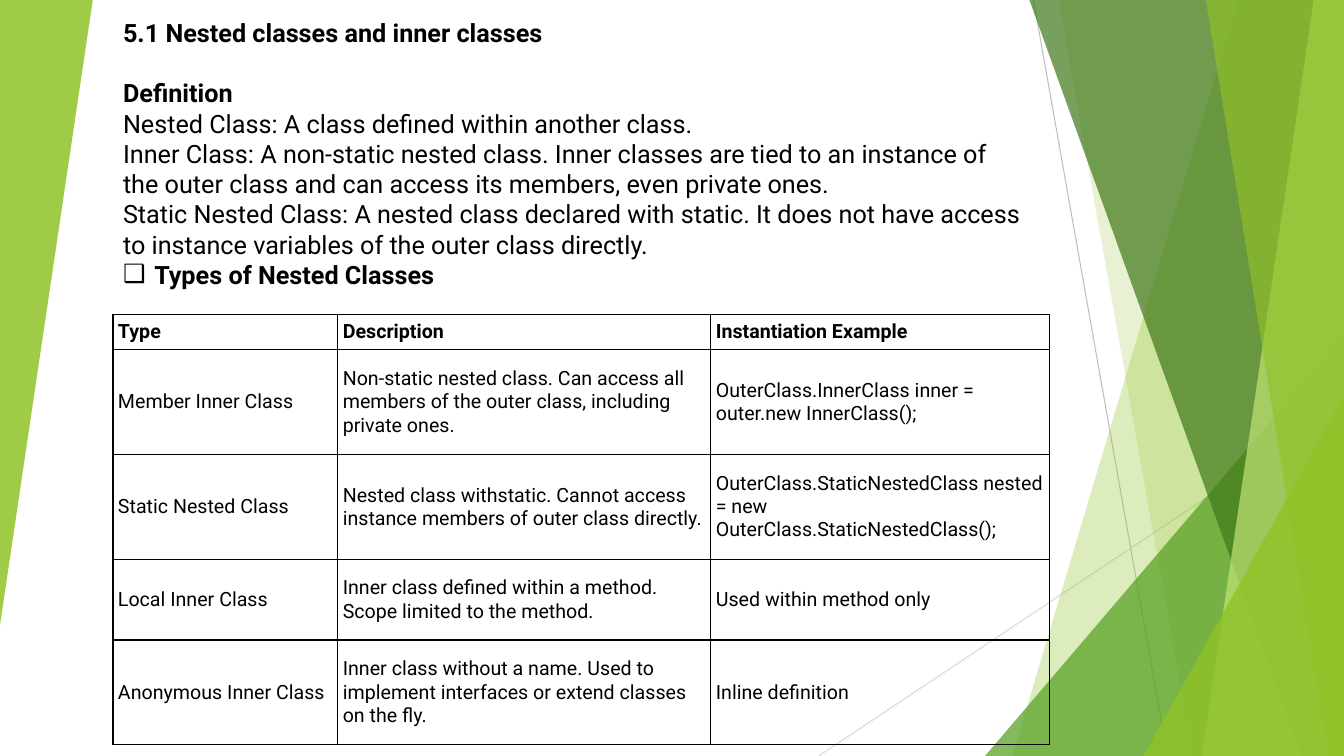
import pptx
import pptx.util
import pptx.dml.color
import pptx.enum.shapes
import pptx.enum.text
import pptx.oxml
import pptx.oxml.ns

Inches, Pt = pptx.util.Inches, pptx.util.Pt
RGBColor = pptx.dml.color.RGBColor
MIDDLE = pptx.enum.text.MSO_ANCHOR.MIDDLE
TOP = pptx.enum.text.MSO_ANCHOR.TOP

BLACK = RGBColor(0, 0, 0)
GREEN = RGBColor(0x90, 0xC2, 0x26)
LEAF = RGBColor(0x54, 0xA0, 0x21)
FOREST = RGBColor(0x3F, 0x78, 0x19)
LIME = RGBColor(0xC0, 0xE4, 0x74)
GREY = RGBColor(0xBF, 0xBF, 0xBF)
PALE_GREY = RGBColor(0xD9, 0xD9, 0xD9)
FONT = "Roboto"
WIDTH, HEIGHT = 13.33, 7.5
TEXT_LEFT, TEXT_WIDTH = 1.12, 9.11

HEADING = "5.1 Nested classes and inner classes"
DEFINITIONS = [  # text, bold, bullet
    ("Definition", True, None),
    ("Nested Class: A class defined within another class.", False, None),
    ("Inner Class: A non-static nested class. Inner classes are tied to an instance of "
     "the outer class and can access its members, even private ones.", False, None),
    ("Static Nested Class: A nested class declared with static. It does not have access "
     "to instance variables of the outer class directly.", False, None),
    ("Types of Nested Classes", True, "❑"),
]
CLASS_TYPES = [
    ("Type", "Description", "Instantiation Example"),
    ("Member Inner Class",
     "Non-static nested class. Can access all members of the outer class, including private ones.",
     "OuterClass.InnerClass inner = outer.new InnerClass();"),
    ("Static Nested Class",
     "Nested class withstatic. Cannot access instance members of outer class directly.",
     "OuterClass.StaticNestedClass nested = new OuterClass.StaticNestedClass();"),
    ("Local Inner Class",
     "Inner class defined within a method. Scope limited to the method.",
     "Used within method only"),
    ("Anonymous Inner Class",
     "Inner class without a name. Used to implement interfaces or extend classes on the fly.",
     "Inline definition"),
]
COLUMN_WIDTHS = [2.23, 3.7, 3.36]
ROW_HEIGHTS = [0.35, 1.04, 1.04, 0.8, 1.04]

RAYS = [((10.25, 0), (11.58, HEIGHT), GREY), ((WIDTH, 4.03), (8.12, HEIGHT), PALE_GREY)]
# A slab gives its left edge at top and bottom; a triangle its left, top, width, height, rotation.
FACETS = [
    ("slab", (12.28, 10.04), GREEN, 30),
    ("slab", (10.5, 11.83), GREEN, 20),
    ("triangle", (9.77, 3.33, 3.56, 4.17, 0), LEAF, 72),
    ("slab", (10.21, 12.91), FOREST, 70),
    ("slab", (13.03, 11.92), LIME, 70),
    ("slab", (11.96, 13.18), GREEN, 65),
    ("triangle", (11.34, 3.93, 1.99, 3.57, 0), GREEN, 80),
    ("triangle", (0, 0, 0.92, 6.2, 180), GREEN, 85),
]


def add_xml(parent, tag, **attributes):
    child = pptx.oxml.parse_xml(f'<{tag} {pptx.oxml.ns.nsdecls("a")}/>')
    for name, value in attributes.items():
        child.set(name, str(value))
    parent.append(child)
    return child


def write(para, text, size=18, bold=False, bullet=None, indent=0.0):
    properties = para._p.get_or_add_pPr()
    properties.set("marL", str(Inches(indent)))
    properties.set("indent", str(-Inches(indent)))
    if bullet:
        add_xml(properties, "a:buChar", char=bullet)
    else:
        add_xml(properties, "a:buNone")
    para.alignment = pptx.enum.text.PP_ALIGN.LEFT
    para.space_before = Pt(0)
    span = para.add_run()
    span.text = text
    font = span.font
    font.name, font.size, font.bold = FONT, Pt(size), bold
    font.color.rgb = BLACK


def place_text(box, top, height):
    box.left, box.top = Inches(TEXT_LEFT), Inches(top)
    box.width, box.height = Inches(TEXT_WIDTH), Inches(height)
    frame = box.text_frame
    frame.word_wrap = True
    frame.auto_size = pptx.enum.text.MSO_AUTO_SIZE.NONE
    frame.vertical_anchor = TOP
    return frame


def draw_ray(page, start, end, colour):
    ray = page.shapes.add_connector(
        pptx.enum.shapes.MSO_CONNECTOR.STRAIGHT, *map(Inches, start + end))
    ray.line.color.rgb = colour
    ray.line.width = Pt(0.75)
    add_xml(ray._element.spPr, "a:effectLst")


def draw_facet(page, kind, numbers, colour, opacity):
    if kind == "slab":
        top_left, bottom_left = numbers
        corners = [(WIDTH, 0), (WIDTH, HEIGHT), (bottom_left, HEIGHT)]
        builder = page.shapes.build_freeform(Inches(top_left), 0)
        builder.add_line_segments([(Inches(x), Inches(y)) for x, y in corners])
        facet = builder.convert_to_shape()
    else:
        *bounds, rotation = numbers
        facet = page.shapes.add_shape(
            pptx.enum.shapes.MSO_SHAPE.ISOSCELES_TRIANGLE, *map(Inches, bounds))
        facet.adjustments[0] = 1
        facet.rotation = rotation
    facet.shadow.inherit = False
    facet.line.fill.background()
    facet.fill.solid()
    facet.fill.fore_color.rgb = colour
    tint = facet._element.spPr.find(".//" + pptx.oxml.ns.qn("a:srgbClr"))
    add_xml(tint, "a:alpha", val=opacity * 1000)


def format_cell(cell):
    cell.vertical_anchor = MIDDLE
    cell.margin_left = cell.margin_right = Inches(0.05)
    cell.margin_top = cell.margin_bottom = Inches(0.05)
    properties = cell._tc.get_or_add_tcPr()
    for side in "LRTB":
        border = add_xml(properties, f"a:ln{side}", w=Pt(1))
        add_xml(add_xml(border, "a:solidFill"), "a:srgbClr", val=BLACK)
    cell.fill.background()


def add_class_table(page):
    table = page.shapes.add_table(
        len(CLASS_TYPES), len(COLUMN_WIDTHS), Inches(TEXT_LEFT), Inches(3.12),
        Inches(sum(COLUMN_WIDTHS)), Inches(sum(ROW_HEIGHTS))).table
    table.first_row = table.horz_banding = False
    for column, width in zip(table.columns, COLUMN_WIDTHS):
        column.width = Inches(width)
    for index, (row, height) in enumerate(zip(table.rows, ROW_HEIGHTS)):
        row.height = Inches(height)
        for cell, text in zip(row.cells, CLASS_TYPES[index]):
            format_cell(cell)
            write(cell.text_frame.paragraphs[0], text, size=14, bold=index == 0)


def main():
    deck = pptx.Presentation()
    deck.slide_width, deck.slide_height = Inches(WIDTH), Inches(HEIGHT)
    page = deck.slides.add_slide(deck.slide_layouts[1])
    for ray in RAYS:
        draw_ray(page, *ray)
    for facet in FACETS:
        draw_facet(page, *facet)

    heading = place_text(page.shapes.title, 0.12, 0.4)
    write(heading.paragraphs[0], HEADING, bold=True)
    body = place_text(page.placeholders[1], 0.72, 2.23)
    for index, (text, bold, bullet) in enumerate(DEFINITIONS):
        para = body.add_paragraph() if index else body.paragraphs[0]
        write(para, text, bold=bold, bullet=bullet, indent=0.31 if bullet else 0)

    add_class_table(page)
    deck.save("out.pptx")


if __name__ == "__main__":
    main()
